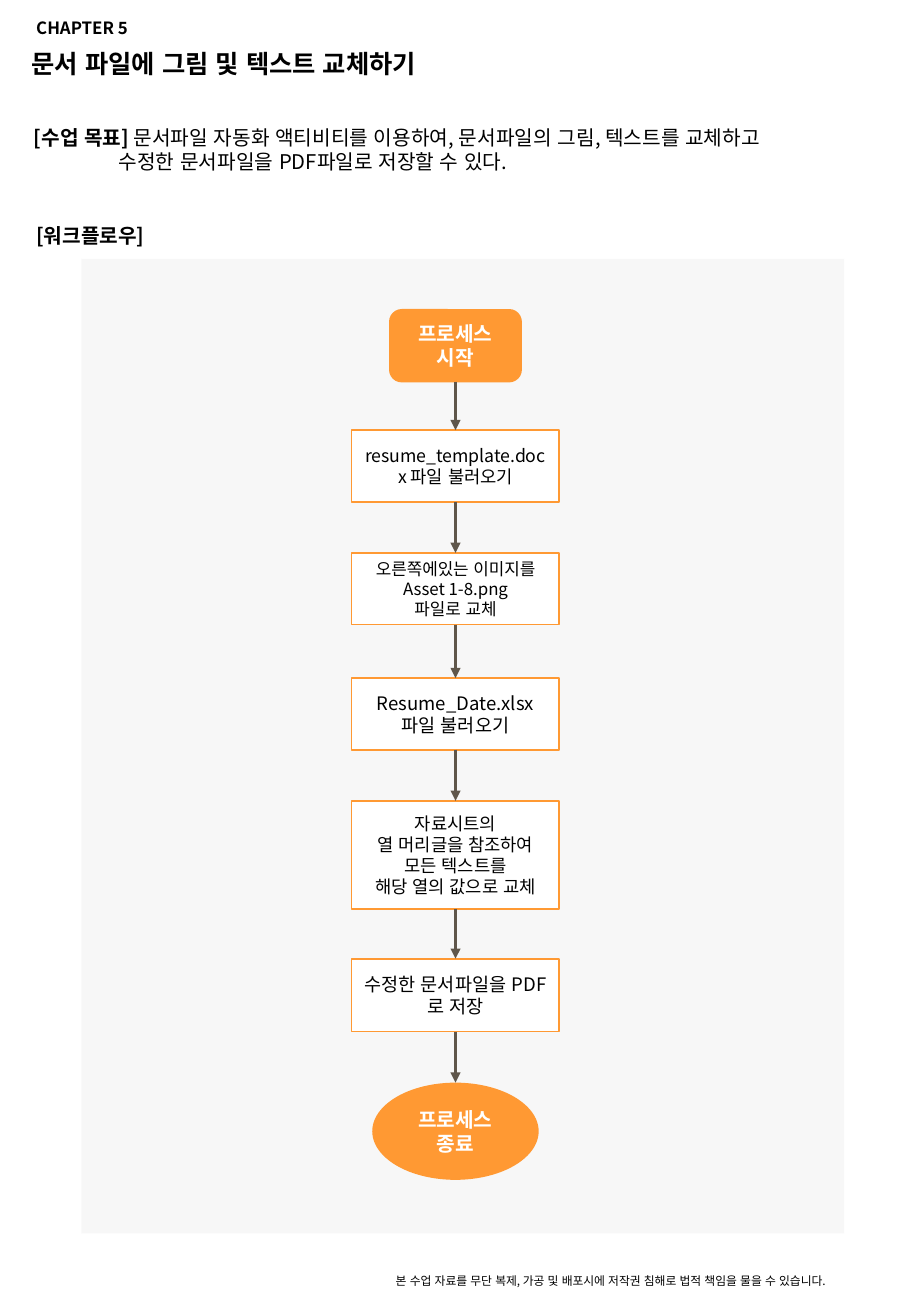
import pptx
import pptx.util
import pptx.dml.color
import pptx.enum.lang
import pptx.enum.shapes
import pptx.enum.text
import pptx.oxml.ns
import lxml.etree

Inches, Pt = pptx.util.Inches, pptx.util.Pt
SHAPE = pptx.enum.shapes.MSO_SHAPE
ALIGN = pptx.enum.text.PP_ALIGN
ANCHOR = pptx.enum.text.MSO_ANCHOR
FIT = pptx.enum.text.MSO_AUTO_SIZE.SHAPE_TO_FIT_TEXT
KOREAN = pptx.enum.lang.MSO_LANGUAGE_ID.KOREAN
qn = pptx.oxml.ns.qn

FONT = "Noto Sans CJK KR"
BLACK, WHITE, ORANGE, BROWN, GRAY = "000000", "FFFFFF", "FF9933", "5F564A", "F2F2F2"

TITLE = "문서 파일에 그림 및 텍스트 교체하기"
GOAL_LABEL = "[수업 목표] "
GOAL = ["문서파일 자동화 액티비티를 이용하여, 문서파일의 그림, 텍스트를 교체하고",
        "수정한 문서파일을 PDF파일로 저장할 수 있다."]
LABELS = [
    ("CHAPTER 5", (0.2, 0.1, 1.29, 0.27), 10, True, True),
    ("본 수업 자료를 무단 복제, 가공 및 배포시에 저작권 침해로 법적 책임을 물을 수 있습니다.",
     (3.16, 10.43, 4.13, 0.21), 7, False, False),
    ("[워크플로우]", (0.2, 1.79, 6.8, 0.3), 12, True, True),
]
START, STEP, END = (SHAPE.FLOWCHART_ALTERNATE_PROCESS, SHAPE.FLOWCHART_PROCESS, SHAPE.OVAL)
WIDTHS = {START: 1.08, STEP: 1.71, END: 1.37}
CENTER_X = 3.75
FLOW = [
    (START, 2.55, 0.59, 12, "프로세스\n시작"),
    (STEP, 3.54, 0.59, 10.5, "resume_template.docx 파일 불러오기"),
    (STEP, 4.55, 0.59, 10, "오른쪽에있는 이미지를 Asset 1-8.png\n파일로 교체"),
    (STEP, 5.58, 0.59, 11, "Resume_Date.xlsx\n파일 불러오기"),
    (STEP, 6.59, 0.89, 10.5, "자료시트의\n열 머리글을 참조하여 모든 텍스트를\n해당 열의 값으로 교체"),
    (STEP, 7.89, 0.6, 11, "수정한 문서파일을 PDF로 저장"),
    (END, 8.91, 0.8, 12, "프로세스 종료"),
]


def rgb(color):
    return pptx.dml.color.RGBColor.from_string(color)


def style(tf, size, color=BLACK, bold=False, align=ALIGN.LEFT):
    for p in tf.paragraphs:
        p.alignment = align
        for r in p.runs:
            r.font.size, r.font.bold, r.font.name = Pt(size), bold, FONT
            r.font.language_id = KOREAN
            r.font.color.rgb = rgb(color)
            lxml.etree.SubElement(r.font._element, qn("a:ea")).set("typeface", FONT)


def add_text(text, box, size, bold=False, wrap=True):
    tf = s.shapes.add_textbox(*map(Inches, box)).text_frame
    tf.word_wrap, tf.auto_size = wrap, FIT
    tf.text = text
    style(tf, size, bold=bold)
    return tf


def add_block(kind, box, fill, line=None):
    sp = s.shapes.add_shape(kind, *map(Inches, box))
    sp.shadow.inherit = False
    sp.fill.solid()
    sp.fill.fore_color.rgb = rgb(fill)
    if line:
        sp.line.color.rgb, sp.line.width = rgb(line), Pt(1)
    else:
        sp.line.fill.background()
    return sp


def add_step(kind, top, height, size, text):
    width = WIDTHS[kind]
    solid = kind != STEP
    sp = add_block(kind, (CENTER_X - width / 2, top, width, height),
                   ORANGE if solid else WHITE, None if kind == END else ORANGE)
    tf = sp.text_frame
    tf.word_wrap, tf.vertical_anchor = True, ANCHOR.MIDDLE
    tf.text = text
    style(tf, size, WHITE if solid else BLACK, solid, ALIGN.CENTER)
    return sp


def add_arrow(upper, lower):
    arrow = s.shapes.add_connector(pptx.enum.shapes.MSO_CONNECTOR.STRAIGHT, 0, 0, 0, 0)
    arrow.begin_connect(upper, 2)
    arrow.end_connect(lower, 0)
    arrow.line.color.rgb, arrow.line.width = rgb(BROWN), Pt(2)
    lxml.etree.SubElement(arrow.line._get_or_add_ln(), qn("a:tailEnd")).set("type", "triangle")
    lxml.etree.SubElement(arrow._element.spPr, qn("a:effectLst"))


prs = pptx.Presentation()
prs.slide_width, prs.slide_height = Inches(7.5), Inches(10.83)
s = prs.slides.add_slide(prs.slide_layouts[5])

title = s.shapes.title
title.left, title.top, title.width, title.height = map(Inches, (0.16, 0.35, 3.85, 0.35))
tf = title.text_frame
tf.text = TITLE
tf.word_wrap, tf.auto_size, tf.vertical_anchor = True, FIT, ANCHOR.TOP
style(tf, 15, bold=True)

for text, box, size, bold, wrap in LABELS:
    add_text(text, box, size, bold, wrap)

tf = add_text("\n".join(GOAL), (0.18, 0.98, 6.8, 0.5), 12)
first, second = tf.paragraphs
first.text = GOAL_LABEL
first.add_run().text = GOAL[0]
style(tf, 12)
first.runs[0].font.bold = True
second._p.get_or_add_pPr().set("marL", str(Inches(0.7)))

panel = add_block(STEP, (0.67, 2.13, 6.28, 8.02), GRAY)
tint = panel._element.spPr.find(qn("a:solidFill"))[0]
lxml.etree.SubElement(tint, qn("a:alpha")).set("val", "54000")

steps = [add_step(*step) for step in FLOW]
for upper, lower in zip(steps, steps[1:]):
    add_arrow(upper, lower)

prs.save("out.pptx")
